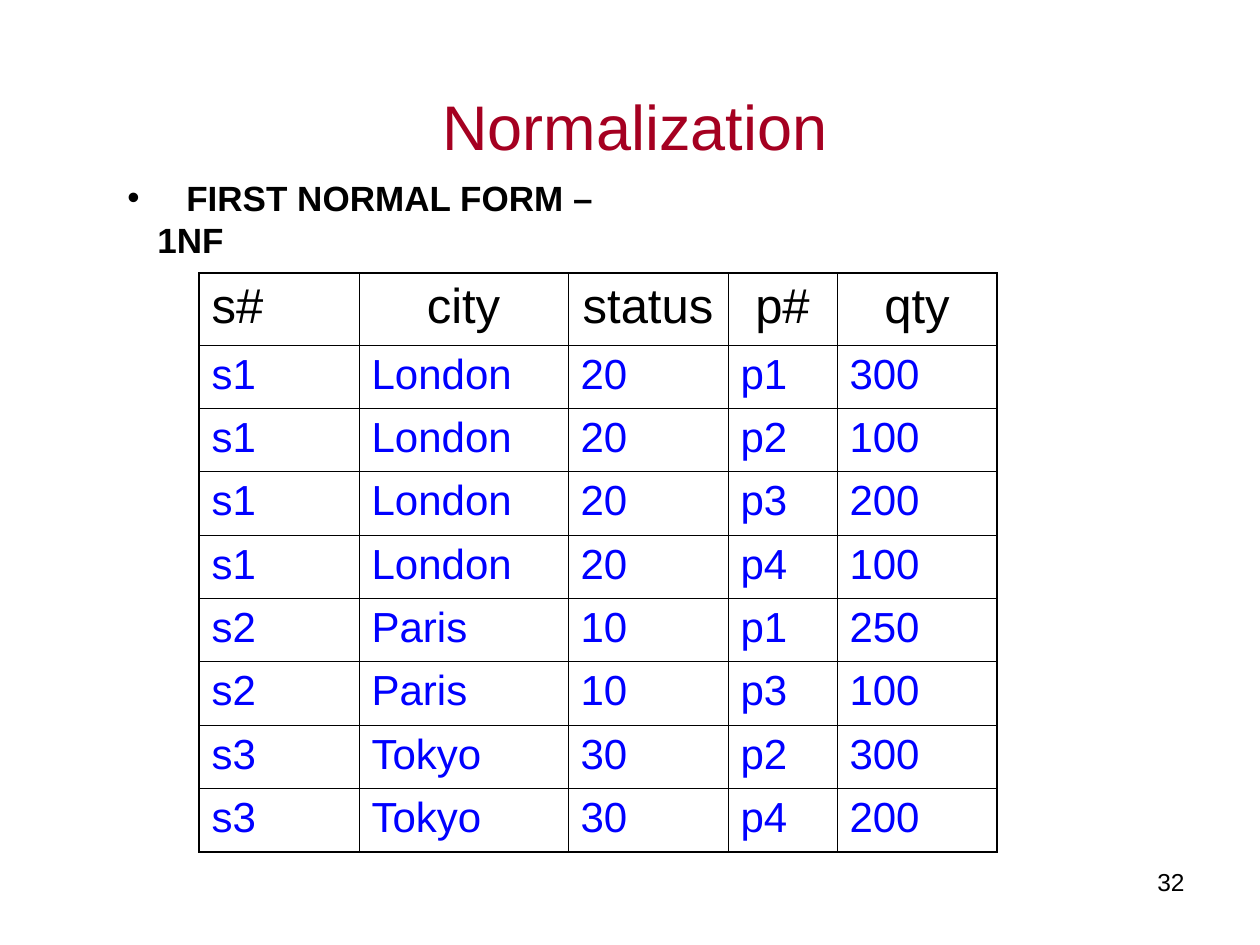
from dataclasses import dataclass

from lxml import etree
from pptx import Presentation
from pptx.dml.color import RGBColor
from pptx.enum.text import MSO_ANCHOR, PP_ALIGN
from pptx.oxml.ns import qn
from pptx.util import Emu, Pt


@dataclass(frozen=True)
class Theme:
    font: str = "Arial"
    ink: str = "000000"
    heading: str = "A50021"
    data: str = "0000FF"
    title_size: int = 36
    header_size: int = 28
    data_size: int = 24
    bullet_size: int = 20
    number_size: int = 14
    inner_line: float = 0.45
    outer_line: float = 1.08


theme = Theme()


def px(length):
    return Emu(round(length * 914400 / 126))


def write(frame, text, size, color=theme.ink, bold=False, align=PP_ALIGN.LEFT,
          anchor=MSO_ANCHOR.TOP, hang=0, tabs=(), leading=None):
    frame.word_wrap = True
    frame.vertical_anchor = anchor
    paragraph = frame.paragraphs[0]
    paragraph.alignment = align
    if leading:
        paragraph.line_spacing = Pt(leading)
    if hang:
        properties = paragraph._p.get_or_add_pPr()
        properties.set("marL", str(px(hang)))
        properties.set("indent", str(-px(hang)))
        etree.SubElement(properties, qn("a:buFont"), typeface=theme.font)
        etree.SubElement(properties, qn("a:buChar"), char="•")
        stops = etree.SubElement(properties, qn("a:tabLst"))
        for stop in tabs:
            etree.SubElement(stops, qn("a:tab"), pos=str(px(stop)), algn="l")
    run = paragraph.add_run()
    run.text = text
    run.font.name = theme.font
    run.font.size = Pt(size)
    run.font.bold = bold
    run.font.color.rgb = RGBColor.from_string(color)


presentation = Presentation()
presentation.slide_width = px(1260)
presentation.slide_height = px(945)
slide = presentation.slides.add_slide(presentation.slide_layouts[6])

page_number = slide.shapes.add_textbox(px(903), px(861), px(294), px(66))
write(page_number.text_frame, "32", theme.number_size, align=PP_ALIGN.RIGHT)

title = slide.shapes.add_textbox(px(126), px(53), px(1018), px(116))
write(title.text_frame, "Normalization", theme.title_size, color=theme.heading,
      align=PP_ALIGN.CENTER, anchor=MSO_ANCHOR.BOTTOM)

normal_form = slide.shapes.add_textbox(px(115), px(168), px(539), px(55))
normal_form.text_frame.margin_top = px(8)
write(normal_form.text_frame, "\tFIRST NORMAL FORM –1NF", theme.bullet_size,
      bold=True, hang=30, tabs=(29, 59), leading=24)

shipments = [
    ("s#", "city", "status", "p#", "qty"),
    ("s1", "London", "20", "p1", "300"),
    ("s1", "London", "20", "p2", "100"),
    ("s1", "London", "20", "p3", "200"),
    ("s1", "London", "20", "p4", "100"),
    ("s2", "Paris", "10", "p1", "250"),
    ("s2", "Paris", "10", "p3", "100"),
    ("s3", "Tokyo", "30", "p2", "300"),
    ("s3", "Tokyo", "30", "p4", "200"),
]
column_widths = (160, 209, 160, 109, 160)
header_height = 72
body_height = 507
last_row = len(shipments) - 1
last_column = len(column_widths) - 1

table = slide.shapes.add_table(
    len(shipments), len(column_widths), px(199), px(273),
    px(sum(column_widths)), px(header_height + body_height)).table
table.first_row = False
table.horz_banding = False
for column, width in zip(table.columns, column_widths):
    column.width = px(width)

for r, record in enumerate(shipments):
    table.rows[r].height = px(body_height / last_row if r else header_height)
    for c, value in enumerate(record):
        cell = table.cell(r, c)
        cell.fill.background()
        write(cell.text_frame, value,
              theme.data_size if r else theme.header_size,
              color=theme.data if r else theme.ink,
              align=PP_ALIGN.CENTER if r == 0 and c else PP_ALIGN.LEFT)
        outer_edges = {"a:lnL": c == 0, "a:lnR": c == last_column,
                       "a:lnT": r == 0, "a:lnB": r == last_row}
        for position, (edge, is_outer) in enumerate(outer_edges.items()):
            weight = theme.outer_line if is_outer else theme.inner_line
            border = etree.Element(qn(edge), w=str(Pt(weight)))
            paint = etree.SubElement(border, qn("a:solidFill"))
            etree.SubElement(paint, qn("a:srgbClr"), val=theme.ink)
            cell._tc.get_or_add_tcPr().insert(position, border)

presentation.save("out.pptx")
